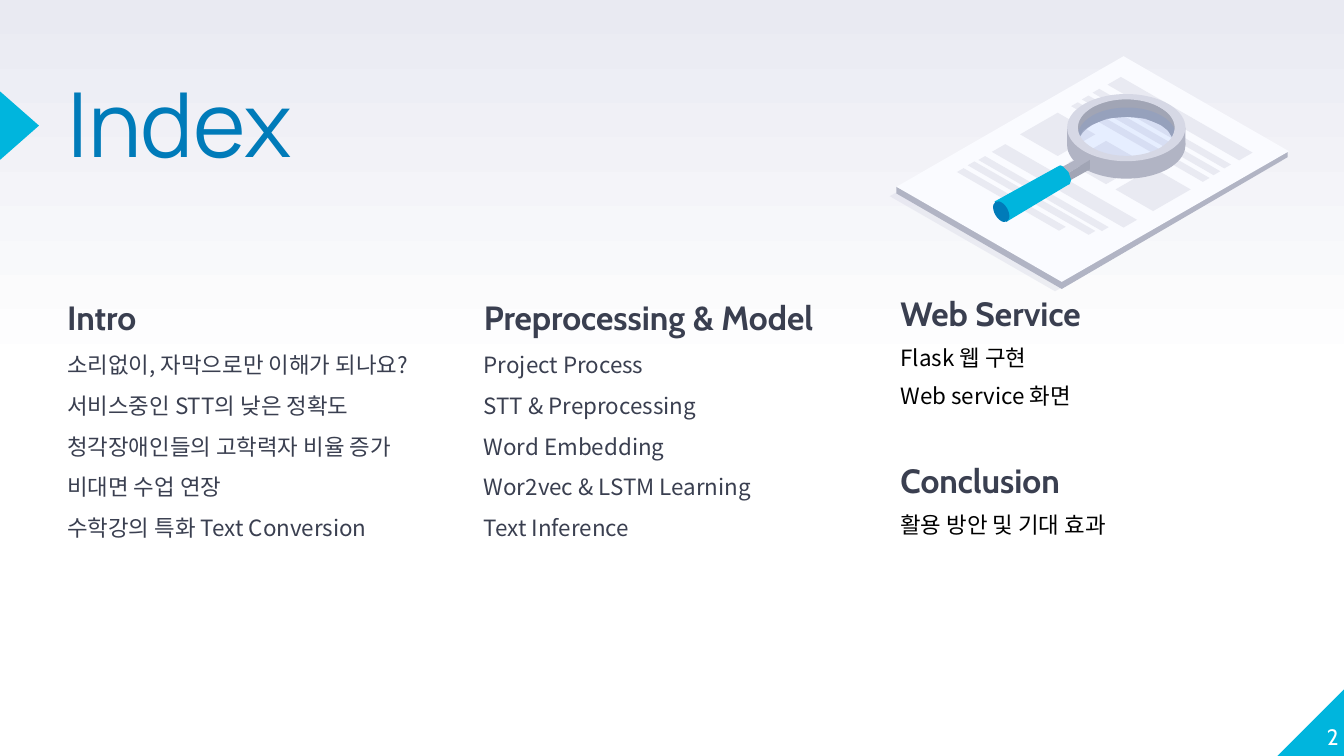
import math
from lxml import etree
from pptx import Presentation
from pptx import util as u
from pptx.dml.color import RGBColor
from pptx.enum import shapes, text
from pptx.oxml.ns import qn

WHITE = RGBColor(0xFF, 0xFF, 0xFF)
BLACK = RGBColor(0x00, 0x00, 0x00)
INK = RGBColor(0x3A, 0x3F, 0x50)
CYAN = RGBColor(0x00, 0xB5, 0xDD)
BLUE = RGBColor(0x00, 0x7B, 0xB9)
GLASS = RGBColor(0x3E, 0x7E, 0xFF)
PAPER = RGBColor(0xFA, 0xFB, 0xFF)
MIST = RGBColor(0xE9, 0xEA, 0xF2)
SILVER = RGBColor(0xD6, 0xD8, 0xE5)
STEEL = RGBColor(0xB1, 0xB4, 0xC4)
SLATE = RGBColor(0xA1, 0xA5, 0xB5)
HEADING_FONT = "Cabin"
BODY_FONT = "Noto Sans CJK KR"

deck = Presentation()
deck.slide_width = u.Inches(10)
deck.slide_height = u.Inches(10 * 9 / 16)
slide = deck.slides.add_slide(deck.slide_layouts[6])

backdrop = slide.background.fill
backdrop.gradient()
backdrop.gradient_angle = 90
for stop, position, colour in zip(backdrop.gradient_stops, (0.5, 1), (WHITE, MIST)):
    stop.position = position
    stop.color.rgb = colour


def write(lines, left, top, width, height, size=12, font=BODY_FONT, colour=INK,
          heading=False, spacing=None, align=None, anchor=text.MSO_ANCHOR.TOP):
    frame = slide.shapes.add_textbox(
        u.Inches(left), u.Inches(top), u.Inches(width), u.Inches(height)).text_frame
    frame.word_wrap = True
    frame.vertical_anchor = anchor
    frame.margin_left = frame.margin_right = frame.margin_top = frame.margin_bottom = 0
    for index, line in enumerate(lines):
        is_heading = heading and index == 0
        paragraph = frame.paragraphs[0] if index == 0 else frame.add_paragraph()
        paragraph.alignment = align
        paragraph.line_spacing = spacing
        if index:
            paragraph.space_before = u.Pt(6)
        run = paragraph.add_run()
        run.text = line
        run.font.size = u.Pt(18 if is_heading else size)
        run.font.bold = is_heading
        run.font.name = HEADING_FONT if is_heading else font
        run.font.color.rgb = INK if is_heading else colour
        if run.font.name == BODY_FONT:
            east_asian = etree.SubElement(run.font._element, qn("a:ea"))
            east_asian.set("typeface", BODY_FONT)


def draw(colour, *outlines, preset=None, box=None, opacity=None):
    if preset:
        figure = slide.shapes.add_shape(preset, *[u.Inches(side) for side in box])
    else:
        outlines = [[(u.Inches(x), u.Inches(y)) for x, y in outline] for outline in outlines]
        builder = slide.shapes.build_freeform(*outlines[0][0])
        builder.add_line_segments(outlines[0][1:])
        for outline in outlines[1:]:
            builder.move_to(*outline[0])
            builder.add_line_segments(outline[1:])
        figure = builder.convert_to_shape()
    figure.shadow.inherit = False
    figure.fill.solid()
    figure.fill.fore_color.rgb = colour
    figure.line.fill.background()
    if opacity:
        tint = figure._element.spPr.find(".//" + qn("a:srgbClr"))
        etree.SubElement(tint, qn("a:alpha")).set("val", str(opacity * 1000))
    return figure


corner = draw(CYAN, preset=shapes.MSO_SHAPE.RIGHT_TRIANGLE, box=(9.5, 5.12, 0.51, 0.51))
corner._element.spPr.xfrm.set("flipH", "1")
pointer = draw(CYAN, preset=shapes.MSO_SHAPE.ISOSCELES_TRIANGLE, box=(-0.11, 0.79, 0.51, 0.29))
pointer.rotation = 90

write(["Index"], 0.5, 0.66, 6.17, 1.18, size=48, font="Manrope", colour=BLUE, spacing=0.8)
write(["2"], 9.46, 5.07, 0.5, 0.51, font=HEADING_FONT, colour=WHITE,
      align=text.PP_ALIGN.RIGHT, anchor=text.MSO_ANCHOR.BOTTOM)

SLOPE = 0.575
sheet_parts = [(6.62, 1.46, 1.23, 1.69, SILVER, 40)]
print_blocks = [
    (8.24, 0.63, 0.98, 0.1), (8.13, 0.69, 0.98, 0.05),
    (8.05, 0.74, 0.98, 0.05), (7.97, 0.79, 0.98, 0.05),
    (7.38, 1.13, 0.98, 0.1), (7.28, 1.19, 0.92, 0.05),
    (7.2, 1.23, 0.9, 0.05), (7.12, 1.28, 0.76, 0.05),
    (7.59, 1, 0.28, 0.28), (7.95, 1.21, 0.28, 0.28), (8.3, 1.41, 0.28, 0.28),
]
sheet_parts.append((6.67, 1.39, 1.23, 1.69, PAPER, None))
sheet_parts += [(*block, MIST, None) for block in print_blocks]
for x, y, along, across, colour, opacity in sheet_parts:
    if colour == PAPER:
        draw(STEEL, [(9.54, 1.15), (8.36, 0.46), (6.71, 1.41), (6.67, 1.39),
                     (6.67, 1.44), (7.9, 2.15), (9.58, 1.17), (9.58, 1.13)])
    draw(colour, [(x, y), (x + across, y - SLOPE * across),
                  (x + across + along, y + SLOPE * (along - across)),
                  (x + along, y + SLOPE * along)], opacity=opacity)

rings = []
for middle in (1.08, 0.95):
    rings.append([[(8.38 + rx * math.cos(math.radians(angle)),
                    middle + ry * math.sin(math.radians(angle)))
                   for angle in range(0, 360, 5)]
                  for rx, ry in ((0.44, 0.25), (0.36, 0.21))])
lower_ring, upper_ring = rings

draw(STEEL, *lower_ring)
draw(SLATE, [(8.72, 1.02), (8.69, 0.97), (8.64, 0.93), (8.52, 0.88), (8.38, 0.87),
             (8.24, 0.88), (8.12, 0.93), (8.06, 0.97), (8.03, 1.02), (7.99, 0.95),
             (8.04, 0.83), (8.21, 0.73), (8.53, 0.74), (8.75, 0.87), (8.75, 0.95)])
draw(STEEL, [(7.94, 1.08), (7.94, 0.95), (8.01, 1.06)])
draw(STEEL, [(8.82, 1.08), (8.82, 0.95), (8.76, 1.01)])
draw(GLASS, preset=shapes.MSO_SHAPE.OVAL, box=(8.02, 0.8, 0.73, 0.42), opacity=10)
draw(STEEL, [(7.97, 1.1), (8.05, 1.21), (8.2, 1.28), (8.45, 1.31), (8.58, 1.29),
             (8.69, 1.21), (8.75, 1.11), (8.77, 1.03), (8.69, 1.11), (8.51, 1.17),
             (8.31, 1.18), (8.13, 1.15), (8.06, 1.11), (7.97, 1.03)])
draw(SILVER, *upper_ring)

draw(STEEL, [(8.11, 1.19), (7.93, 1.3), (7.87, 1.26), (8.06, 1.16)])
draw(SLATE, [(8.11, 1.26), (7.93, 1.36), (7.93, 1.3), (8.11, 1.19)])
draw(CYAN, [(7.97, 1.34), (7.95, 1.28), (7.91, 1.24), (7.89, 1.23), (7.87, 1.24),
            (7.4, 1.5), (7.49, 1.65), (7.94, 1.38), (7.96, 1.37)])
handle_end = draw(BLUE, preset=shapes.MSO_SHAPE.OVAL, box=(7.4, 1.49, 0.1, 0.17))
handle_end.rotation = 330

chapters = [
    (0.5, 2.18, 2.02, INK, 1.1,
     ["Intro", "소리없이, 자막으로만 이해가 되나요?", "서비스중인 STT의 낮은 정확도",
      "청각장애인들의 고학력자 비율 증가", "비대면 수업 연장", "수학강의 특화 Text Conversion"]),
    (3.6, 2.18, 2.08, INK, 1.1,
     ["Preprocessing & Model", "Project Process", "STT & Preprocessing",
      "Word Embedding", "Wor2vec & LSTM Learning", "Text Inference"]),
    (6.7, 2.18, 1.47, BLACK, None, ["Web Service", "Flask 웹 구현", "Web service 화면"]),
    (6.7, 3.42, 1.47, BLACK, None, ["Conclusion", "활용 방안 및 기대 효과"]),
]
for left, top, height, colour, spacing, lines in chapters:
    write(lines, left, top, 2.8, height, colour=colour, heading=True, spacing=spacing)

deck.save("out.pptx")
